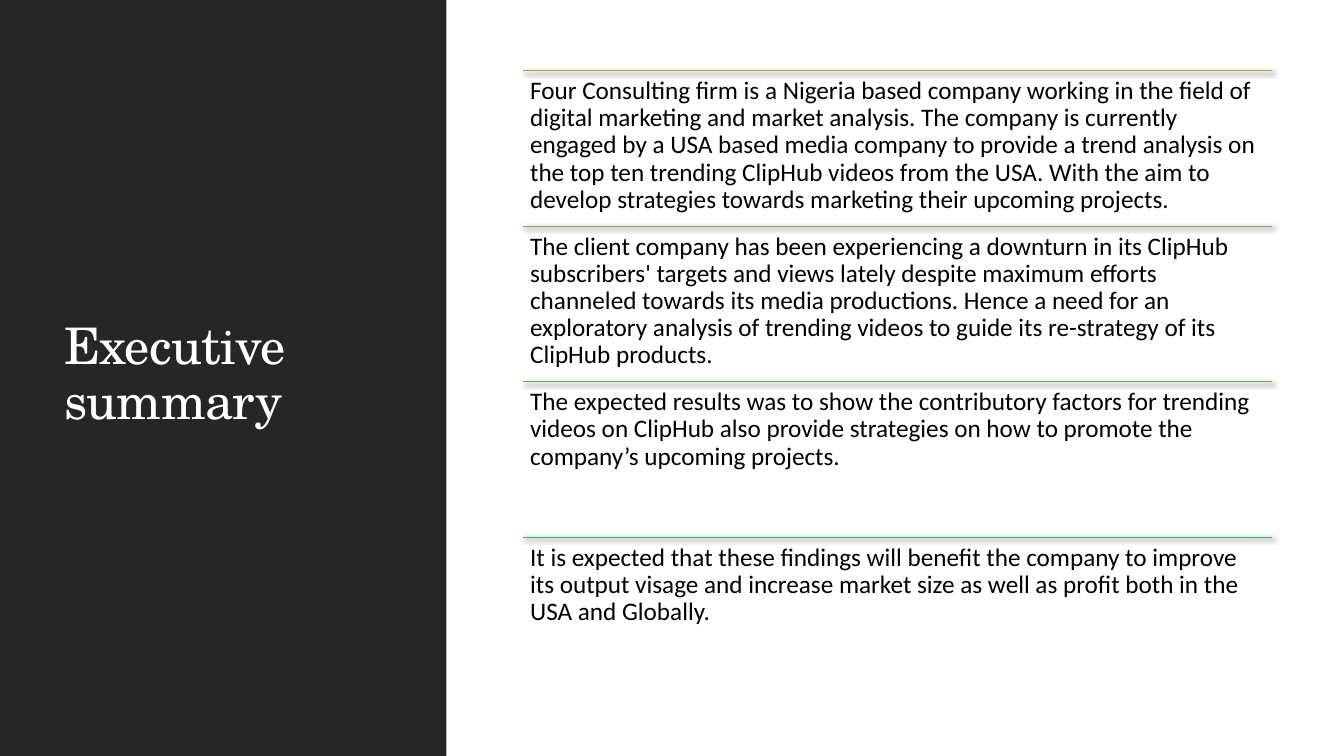
import pptx
import pptx.dml.color
import pptx.enum.shapes
import pptx.enum.text
import pptx.oxml
import pptx.oxml.ns
import pptx.util
from pptx.util import Cm

COLORS = {
    "panel": "262626",
    "white": "FFFFFF",
    "black": "000000",
    "olive": "AEA33A",
    "moss": "8CAB4A",
    "leaf": "57B636",
    "green": "2EBA43",
}

SUMMARY = [
    ("olive", "Four Consulting firm is a Nigeria based company working in the field of "
              "digital marketing and market analysis. The company is currently engaged by "
              "a USA based media company to provide a trend analysis on the top ten "
              "trending ClipHub videos from the USA. With the aim to develop strategies "
              "towards marketing their upcoming projects."),
    ("moss", "The client company has been experiencing a downturn in its ClipHub "
             "subscribers' targets and views lately despite maximum efforts channeled "
             "towards its media productions. Hence a need for an exploratory analysis of "
             "trending videos to guide its re-strategy of its ClipHub products."),
    ("leaf", "The expected results was to show the contributory factors for trending "
             "videos on ClipHub also provide strategies on how to promote the company’s "
             "upcoming projects."),
    ("green", "It is expected that these findings will benefit the company to improve its "
              "output visage and increase market size as well as profit both in the USA "
              "and Globally."),
]

LEFT, TOP, WIDTH, PITCH = 13.18, 1.78, 18.87, 3.92


def rgb(name):
    return pptx.dml.color.RGBColor.from_string(COLORS[name])


def write(tf, text, font="Calibri", size=18, color="black", spacing=None):
    """Fill a text frame with one paragraph; spacing is in points between letters."""
    p = tf.paragraphs[0]
    p.alignment = pptx.enum.text.PP_ALIGN.LEFT
    p.line_spacing = 0.9
    r = p.add_run()
    r.text = text
    r.font.name = font
    r.font.size = pptx.util.Pt(size)
    r.font.color.rgb = rgb(color)
    if spacing is not None:
        r.font._element.set("spc", str(round(spacing * 100)))


class SlideBuilder:
    def __init__(self, slide):
        self.slide = slide

    def rect(self, x, y, w, h, color):
        s = self.slide.shapes.add_shape(
            pptx.enum.shapes.MSO_SHAPE.RECTANGLE, Cm(x), Cm(y), Cm(w), Cm(h))
        s.shadow.inherit = False
        s.fill.solid()
        s.fill.fore_color.rgb = rgb(color)
        s.line.fill.background()

    def text(self, x, y, w, h, text, inset=(0.18, 0.18), anchor="TOP", **style):
        tf = self.slide.shapes.add_textbox(Cm(x), Cm(y), Cm(w), Cm(h)).text_frame
        tf.word_wrap = True
        tf.vertical_anchor = pptx.enum.text.MSO_ANCHOR[anchor]
        tf.margin_left = tf.margin_right = Cm(inset[0])
        tf.margin_top = tf.margin_bottom = Cm(inset[1])
        write(tf, text, **style)

    def rule(self, x, y, w, color):
        """Draw a horizontal line with a soft shadow."""
        s = self.slide.shapes.add_connector(
            pptx.enum.shapes.MSO_CONNECTOR.STRAIGHT, Cm(x), Cm(y), Cm(x + w), Cm(y))
        s.line.color.rgb = rgb(color)
        s.line.width = pptx.util.Pt(1)
        blur, dist = pptx.util.Pt(3.5), pptx.util.Pt(2)
        s._element.spPr.append(pptx.oxml.parse_xml(
            f'<a:effectLst {pptx.oxml.ns.nsdecls("a")}>'
            f'<a:outerShdw blurRad="{blur}" dist="{dist}" dir="2700000" rotWithShape="0">'
            f'<a:srgbClr val="{COLORS["black"]}"><a:alpha val="60000"/></a:srgbClr>'
            '</a:outerShdw></a:effectLst>'))


def main():
    prs = pptx.Presentation()
    prs.slide_width, prs.slide_height = Cm(33.87), Cm(19.05)
    page = SlideBuilder(prs.slides.add_slide(prs.slide_layouts[6]))

    page.rect(0, 0, 11.25, 19.05, "panel")
    page.text(1.37, 1.45, 8.56, 16.03, "Executive summary", inset=(0.25, 0.13),
              anchor="MIDDLE", font="TeX Gyre Schola", size=36, color="white",
              spacing=-0.5)
    for i, (color, statement) in enumerate(SUMMARY):
        y = TOP + i * PITCH
        page.rule(LEFT, y, WIDTH, color)
        page.text(LEFT, y, WIDTH, PITCH, statement)

    prs.save("out.pptx")


if __name__ == "__main__":
    main()
